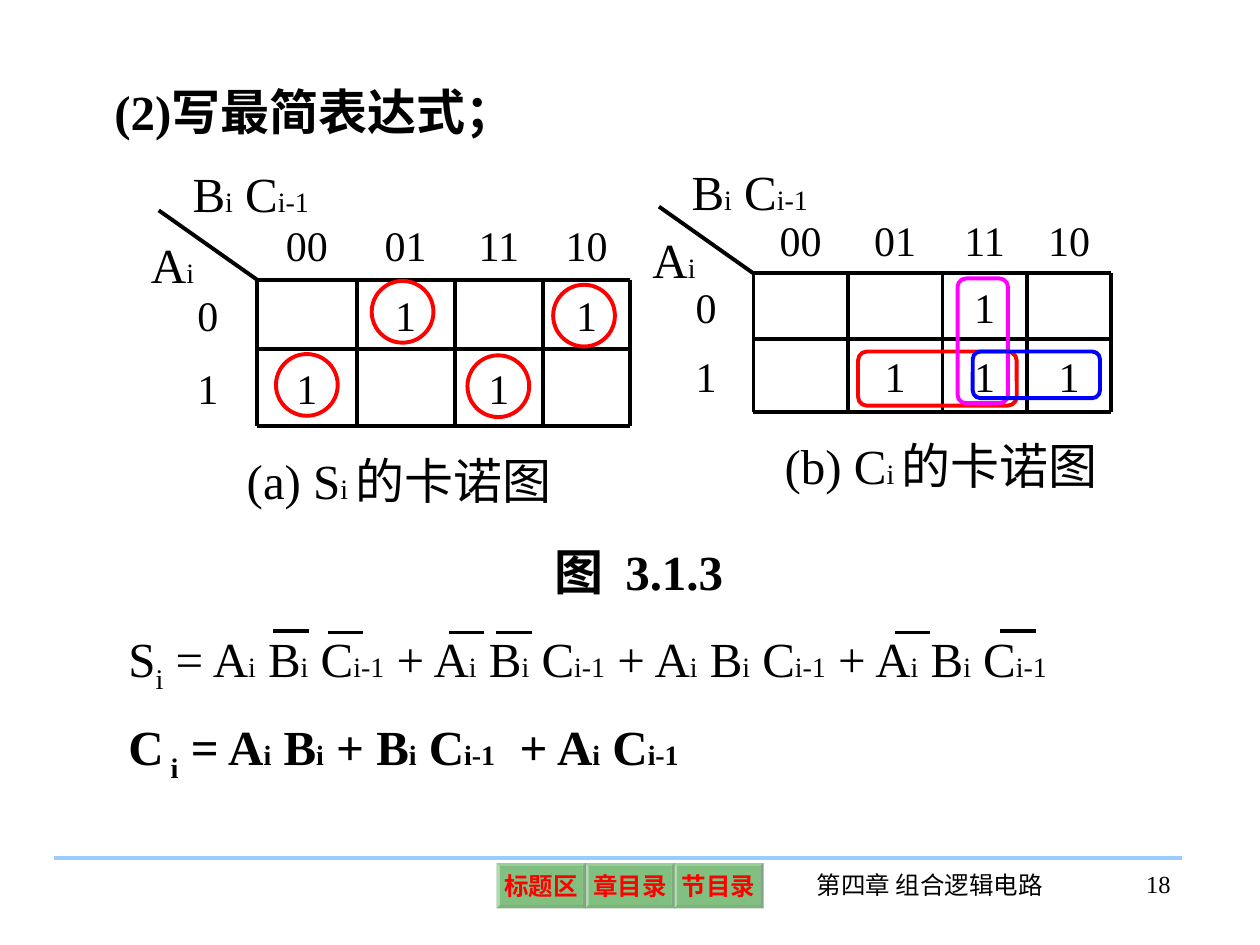
"""Build the full-adder Karnaugh map slide with its simplified expressions."""
from dataclasses import dataclass

from lxml import etree
from pptx import Presentation
from pptx.dml.color import RGBColor
from pptx.enum.shapes import MSO_CONNECTOR, MSO_SHAPE
from pptx.enum.text import MSO_ANCHOR, PP_ALIGN
from pptx.oxml.ns import qn
from pptx.util import Inches, Pt

STRAIGHT = MSO_CONNECTOR.STRAIGHT
BEVEL, OVAL, ROUNDED = MSO_SHAPE.BEVEL, MSO_SHAPE.OVAL, MSO_SHAPE.ROUNDED_RECTANGLE
LEFT, CENTER, RIGHT = PP_ALIGN.LEFT, PP_ALIGN.CENTER, PP_ALIGN.RIGHT
TOP, MIDDLE = MSO_ANCHOR.TOP, MSO_ANCHOR.MIDDLE


@dataclass(frozen=True)
class Theme:
    font: str = "Times New Roman"
    ink: str = "000000"
    red: str = "FF0000"
    magenta: str = "FF00FF"
    blue: str = "0000FF"
    green: str = "008000"
    footer_rule: str = "99CCFF"
    body: int = 28
    cell: int = 24
    index: int = 16
    footer: int = 14
    stroke: float = 2.25


theme = Theme()
deck = Presentation()
deck.slide_width, deck.slide_height = Inches(10), Inches(7.5)
GRID = deck.slide_width / 100
slide = deck.slides.add_slide(deck.slide_layouts[6])


def write(frame, marked, size=theme.body, color=theme.ink, bold=False,
          align=LEFT, anchor=TOP, margins=(1, 0.5)):
    """Fill a text frame; text between underscores is an index, lowered after ↓."""
    frame.word_wrap = True
    frame.vertical_anchor = anchor
    frame.margin_left = frame.margin_right = round(margins[0] * GRID)
    frame.margin_top = frame.margin_bottom = round(margins[1] * GRID)
    paragraph = frame.paragraphs[0]
    paragraph.alignment = align
    paragraph.font.name, paragraph.font.size = theme.font, Pt(size)
    paragraph.font.bold = bold
    paragraph.font.color.rgb = RGBColor.from_string(color)
    for position, piece in enumerate(marked.split("_")):
        run = paragraph.add_run()
        run.text = piece.removeprefix("↓")
        if piece.startswith("↓"):
            run.font._element.set("baseline", "-25000")
        elif position % 2:
            run.font.size = Pt(theme.index)


def rule(container, start, end, color=theme.ink):
    """Draw a straight line between two grid points."""
    line = container.add_connector(STRAIGHT, *(round(v * GRID) for v in (*start, *end)))
    line.line.color.rgb = RGBColor.from_string(color)
    line.line.width = Pt(theme.stroke)
    etree.SubElement(line._element.spPr, qn("a:effectLst"))


karnaugh_maps = [
    {
        "columns": [12.6, 20.4, 28.3, 36.1, 43.1, 50],
        "rows": [16.7, 22.2, 27.7, 33.8],
        "values": [["", "00", "01", "11", "10"],
                   ["0", "", "1", "", "1"],
                   ["1", "1", "", "1", ""]],
        "labels": [("A_i_", (11, 18.1, 6.4, 5.7)),
                   ("B_i_ C_i-1_", (14.3, 12.5, 16.8, 5.7)),
                   ("(a) S_i _的卡诺图", (18.6, 35.3, 28.9, 5.7))],
        "loops": [(OVAL, theme.red, (x, y, 4.9, 4.9))
                  for x, y in ((21.9, 28.1), (37.1, 28.2), (29.5, 22.3), (43.9, 22.6))],
    },
    {
        "columns": [52.3, 59.8, 67.3, 74.8, 81.5, 88.2],
        "rows": [16.4, 21.7, 26.9, 32.7],
        "values": [["", "00", "01", "11", "10"],
                   ["0", "", "", "1", ""],
                   ["1", "", "1", "1", "1"]],
        "labels": [("A_i_", (50.8, 17.7, 6.1, 5.7)),
                   ("B_i_ C_i-1_", (53.9, 12.3, 14.9, 5.7)),
                   ("(b) C_i _的卡诺图", (61.3, 34.1, 27.7, 5.7))],
        "loops": [(ROUNDED, theme.red, (68.1, 27.9, 12.6, 4.3)),
                  (ROUNDED, theme.magenta, (76, 22.1, 4, 9.9)),
                  (ROUNDED, theme.blue, (77.2, 27.9, 10.1, 3.7))],
    },
]

for karnaugh in karnaugh_maps:
    group = slide.shapes.add_group_shape().shapes
    columns, rows = karnaugh["columns"], karnaugh["rows"]
    for top, bottom, values in zip(rows, rows[1:], karnaugh["values"]):
        for left, right, value in zip(columns, columns[1:], values):
            if value:
                box = (left, top, right - left, bottom - top)
                cell = group.add_textbox(*(round(v * GRID) for v in box))
                write(cell.text_frame, value, theme.cell, align=CENTER,
                      anchor=MIDDLE, margins=(0.2, 0.2))
    rule(group, (columns[0], rows[0]), (columns[1], rows[1]))
    for x in columns[1:]:
        rule(group, (x, rows[1]), (x, rows[-1]))
    for y in rows[1:]:
        rule(group, (columns[1], y), (columns[-1], y))
    for label, box in karnaugh["labels"]:
        write(group.add_textbox(*(round(v * GRID) for v in box)).text_frame, label)
    for outline, color, box in karnaugh["loops"]:
        loop = group.add_shape(outline, *(round(v * GRID) for v in box))
        loop.shadow.inherit = False
        loop.fill.background()
        loop.line.color.rgb = RGBColor.from_string(color)
        loop.line.width = Pt(theme.stroke)

sum_expression = ("S_↓i_ = A_i_ B_i_ C_i-1_ + A_i_ B_i_ C_i-1_"
                  " + A_i_ B_i_ C_i-1_ + A_i_ B_i_ C_i-1_")
carry_expression = "C_↓ i_ = A_i_ B_i_ + B_i_ C_i-1_  + A_i_ C_i-1_"
for text, box, size, bold, align in [
    ("(2)写最简表达式；", (8.1, 6, 84, 5.7), theme.body, True, LEFT),
    ("图  3.1.3", (43, 42.5, 20.9, 5.7), theme.body, True, LEFT),
    (sum_expression, (9.2, 49.4, 82.9, 6.3), theme.body, False, LEFT),
    (carry_expression, (9.2, 56.4, 83.1, 6.3), theme.body, True, LEFT),
    ("第四章 组合逻辑电路", (62.4, 68.6, 22.8, 5), theme.footer, False, CENTER),
    ("18", (85.3, 68.5, 8.6, 5), theme.footer, False, RIGHT),
]:
    passage = slide.shapes.add_textbox(*(round(v * GRID) for v in box))
    write(passage.text_frame, text, size, bold=bold, align=align)

for x, y in ((21.7, 50.1), (26, 50.2), (35.6, 50.2),
             (39.4, 50.2), (71, 50.2), (79.4, 50.1)):
    rule(slide.shapes, (x, y), (x + 2.8, y))

rule(slide.shapes, (4.3, 68.1), (93.8, 68.1), theme.footer_rule)
for position, caption in enumerate(["标题区", "章目录", "节目录"]):
    box = (39.4 + 7.05 * position, 68.5, 7.1, 3.6)
    button = slide.shapes.add_shape(BEVEL, *(round(v * GRID) for v in box))
    button.adjustments[0] = 0.07
    button.shadow.inherit = False
    button.fill.solid()
    button.fill.fore_color.rgb = RGBColor.from_string(theme.green)
    tint = button._element.spPr.find(qn("a:solidFill")).find(qn("a:srgbClr"))
    etree.SubElement(tint, qn("a:alpha"), val="49000")
    button.line.fill.background()
    write(button.text_frame, caption, theme.footer, theme.red, True,
          CENTER, MIDDLE, margins=(0.4, 0.4))
    button.text_frame.word_wrap = False

deck.save("out.pptx")
